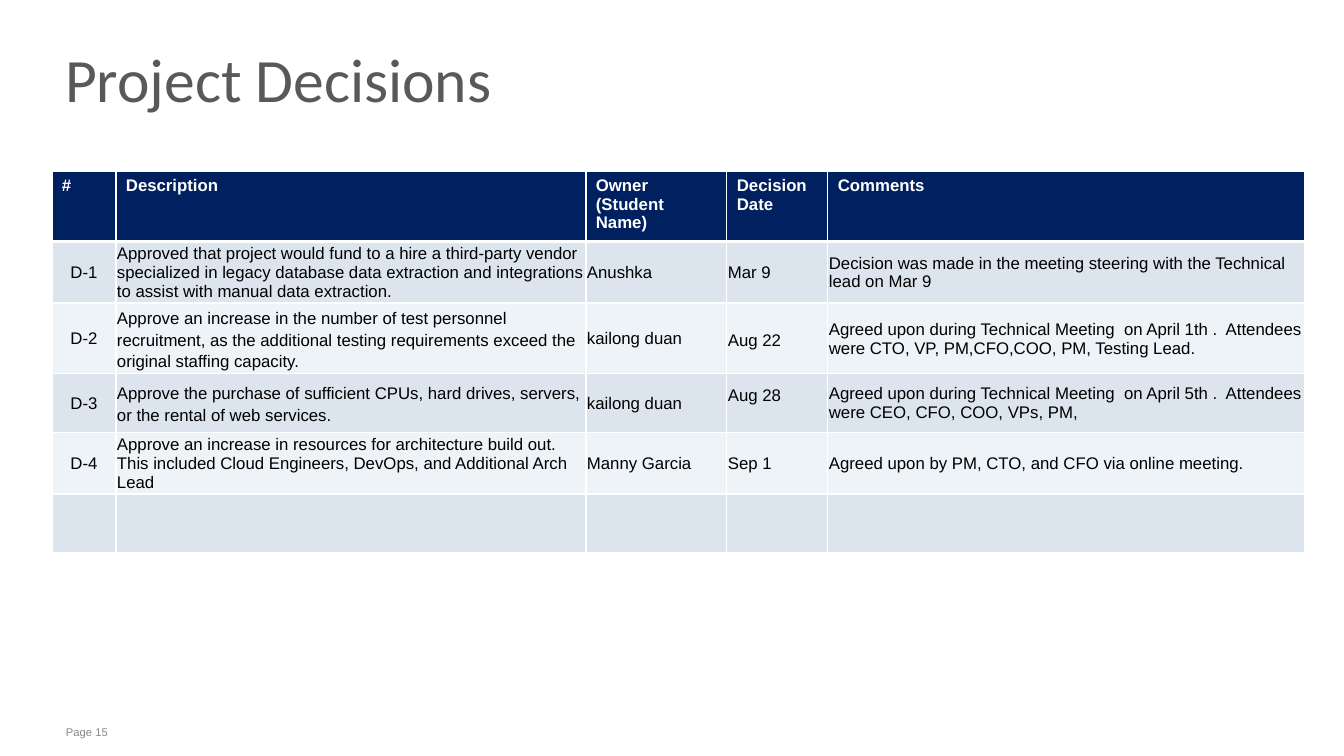
"""Build the Project Decisions slide with its decision log table."""
from dataclasses import dataclass

from lxml import etree
from pptx import Presentation, util as u
from pptx.dml.color import RGBColor
from pptx.enum import text as t
from pptx.oxml import ns

TITLE = "Project Decisions"
PAGE = "Page 15"
HEADERS = ["#", "Description", "Owner\n(Student Name)", "Decision Date", "Comments"]
DECISIONS = [
    ("D-1",
     "Approved that project would fund to a hire a third-party vendor specialized in legacy "
     "database data extraction and integrations to assist with manual data extraction.",
     "Anushka", "Mar 9",
     "Decision was made in the meeting steering with the Technical lead on Mar 9"),
    ("D-2",
     "Approve an increase in the number of test personnel recruitment, as the additional "
     "testing requirements exceed the original staffing capacity.",
     "kailong duan", "Aug 22",
     "Agreed upon during Technical Meeting  on April 1th .  Attendees were CTO, VP, "
     "PM,CFO,COO, PM, Testing Lead."),
    ("D-3",
     "Approve the purchase of sufficient CPUs, hard drives, servers, or the rental of web services.",
     "kailong duan", "Aug 28",
     "Agreed upon during Technical Meeting  on April 5th .  Attendees were CEO, CFO, COO, VPs, PM,"),
    ("D-4",
     "Approve an increase in resources for architecture build out. This included Cloud "
     "Engineers, DevOps, and Additional Arch Lead",
     "Manny Garcia", "Sep 1",
     "Agreed upon by PM, CTO, and CFO via online meeting."),
    ("", "", "", "", ""),
]
COLUMN_WIDTHS = [64, 470, 141, 101, 477]
ROW_HEIGHTS = [66, 59, 66, 59, 59, 59]
TABLE_LEFT, TABLE_TOP = 52, 171
LOOSE_CELLS = {(2, 1), (2, 3), (3, 1), (3, 3)}
RAISED_CELL = (3, 3)


@dataclass(frozen=True)
class Theme:
    title: str = "595959"
    page: str = "87888A"
    header: str = "002060"
    bands: tuple = ("DCE5EE", "EEF3F7")
    light: str = "FFFFFF"
    dark: str = "000000"
    title_font: str = "Calibri"
    body_font: str = "Arial"
    title_size: int = 44
    table_size: int = 12
    page_size: int = 8
    line: int = 1
    header_line: int = 3


THEME = Theme()


def px(value):
    return u.Emu(round(value * 914400 / 100.8))


def set_all(target, values):
    for name, value in values.items():
        setattr(target, name, value)


def set_margins(target, left, top, right, bottom):
    sides = zip(("left", "top", "right", "bottom"), (left, top, right, bottom))
    set_all(target, {f"margin_{side}": px(size) for side, size in sides})


def write(frame, content, font, size, color, bold=False, **layout):
    frame.text = content
    for paragraph in frame.paragraphs:
        set_all(paragraph, layout)
        for run in paragraph.runs:
            set_all(run.font, {"name": font, "size": u.Pt(size), "bold": bold})
            run.font.color.rgb = RGBColor.from_string(color)


def add_label(slide, box, margins, anchor, content, *style, **layout):
    frame = slide.shapes.add_textbox(*map(px, box)).text_frame
    set_all(frame, {"word_wrap": True, "vertical_anchor": anchor})
    set_margins(frame, *margins)
    write(frame, content, *style, **layout)


def add_borders(cell, bottom_width):
    properties = cell._tc.get_or_add_tcPr()
    for side in "LRTB":
        width = bottom_width if side == "B" else THEME.line
        line = etree.SubElement(properties, ns.qn(f"a:ln{side}"), w=str(u.Pt(width)))
        fill = etree.SubElement(line, ns.qn("a:solidFill"))
        etree.SubElement(fill, ns.qn("a:srgbClr"), val=THEME.light)


def format_cell(cell, row, column, content):
    header = row == 0
    add_borders(cell, THEME.header_line if header else THEME.line)
    cell.fill.solid()
    color = THEME.header if header else THEME.bands[(row - 1) % 2]
    cell.fill.fore_color.rgb = RGBColor.from_string(color)
    if not content:
        return
    cell.vertical_anchor = t.MSO_ANCHOR.TOP if header else t.MSO_ANCHOR.MIDDLE
    bottom = 18 if (row, column) == RAISED_CELL else 0
    set_margins(cell, *((10, 5, 10, 5) if header else (1, 1, 1, bottom)))
    layout = {}
    if column == 0 and not header:
        layout["alignment"] = t.PP_ALIGN.CENTER
    if (row, column) in LOOSE_CELLS:
        layout["line_spacing"] = 1.15
    write(cell.text_frame, content, THEME.body_font, THEME.table_size,
          THEME.light if header else THEME.dark, header, **layout)


def add_decisions(slide):
    rows = [HEADERS, *DECISIONS]
    box = (TABLE_LEFT, TABLE_TOP, sum(COLUMN_WIDTHS), sum(ROW_HEIGHTS))
    table = slide.shapes.add_table(len(rows), len(HEADERS), *map(px, box)).table
    table.horz_banding = False
    for column, width in zip(table.columns, COLUMN_WIDTHS):
        column.width = px(width)
    for row, height in zip(table.rows, ROW_HEIGHTS):
        row.height = px(height)
    for row, contents in enumerate(rows):
        for column, content in enumerate(contents):
            format_cell(table.cell(row, column), row, column, content)


def main():
    presentation = Presentation()
    set_all(presentation, {"slide_width": px(1344), "slide_height": px(756)})
    slide = presentation.slides.add_slide(presentation.slide_layouts[6])
    add_label(slide, (58, 720, 1088, 24), (8, 5, 8, 5), t.MSO_ANCHOR.TOP,
              PAGE, THEME.body_font, THEME.page_size, THEME.page)
    add_label(slide, (57, 26, 1102, 120), (8, 0, 8, 0), t.MSO_ANCHOR.MIDDLE,
              TITLE, THEME.title_font, THEME.title_size, THEME.title, line_spacing=0.75)
    add_decisions(slide)
    presentation.save("out.pptx")


if __name__ == "__main__":
    main()
